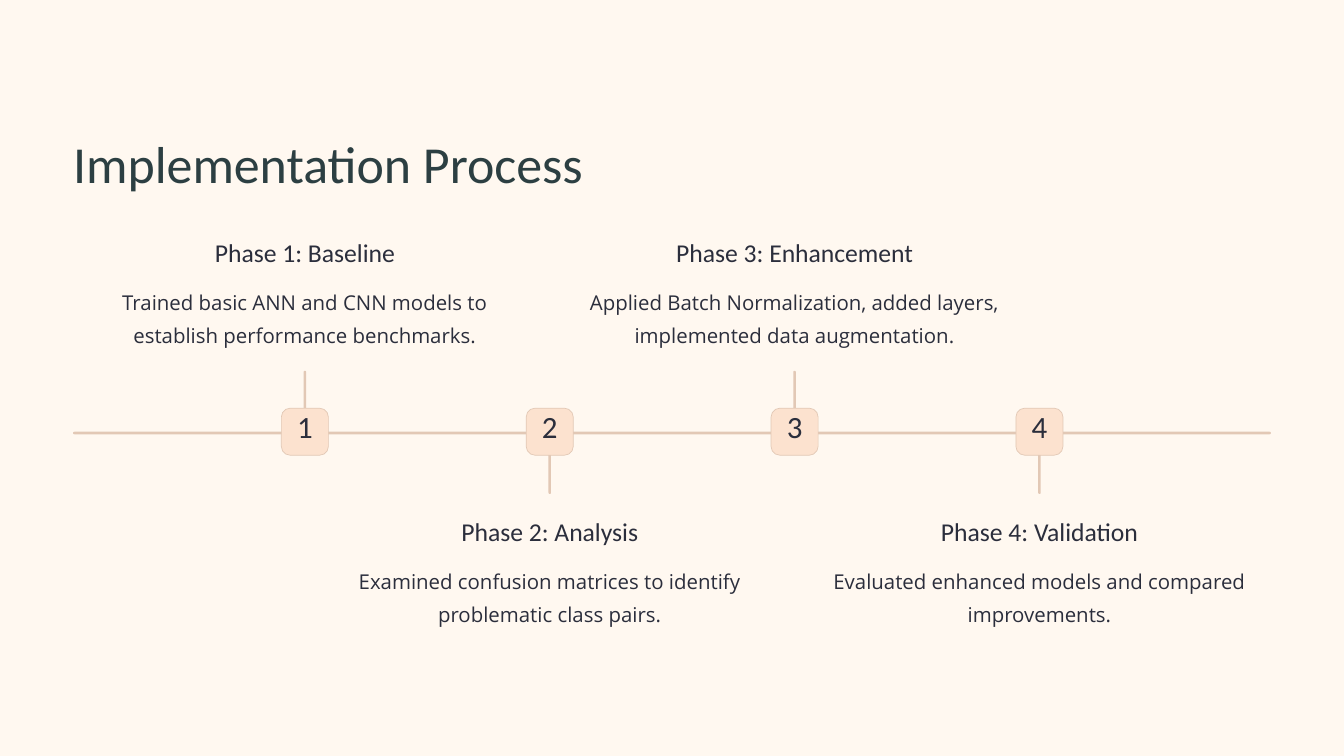
import pptx
import pptx.util
from pptx.dml.color import RGBColor
from pptx.enum.shapes import MSO_SHAPE
from pptx.enum.text import MSO_ANCHOR, PP_ALIGN

TITLE = "Implementation Process"
PHASES = [
    ("Phase 1: Baseline",
     "Trained basic ANN and CNN models to establish performance benchmarks."),
    ("Phase 2: Analysis",
     "Examined confusion matrices to identify problematic class pairs."),
    ("Phase 3: Enhancement",
     "Applied Batch Normalization, added layers, implemented data augmentation."),
    ("Phase 4: Validation",
     "Evaluated enhanced models and compared improvements."),
]

CREAM = RGBColor(0xFF, 0xF8, 0xF0)
PEACH = RGBColor(0xFC, 0xE2, 0xCF)
TAN = RGBColor(0xE2, 0xC8, 0xB5)
TEAL = RGBColor(0x2C, 0x3F, 0x42)
INK = RGBColor(0x2B, 0x2E, 0x3C)
HEADING_FONT, BODY_FONT = "Calibri", "Open Sans"

# Grid, in inches
WIDTH, HEIGHT = 16, 9
MARGIN = 0.87
FIRST_COLUMN, COLUMN_STEP = 3.63, 2.915
AXIS_TOP, BAR = 5.14, 0.03
STEM, BADGE, BADGE_TOP = 0.74, 0.56, 4.86
UPPER_ROW, LOWER_ROW = 2.81, 6.13
HEADING_WIDTH, HEADING_HEIGHT = 3.28, 0.39
BODY_WIDTH, BODY_HEIGHT, BODY_DROP = 5.02, 0.79, 0.535


def inches(*lengths):
    return [pptx.util.Inches(n) for n in lengths]


def write(shape, text, size, spacing, font=HEADING_FONT, color=INK,
          align=PP_ALIGN.CENTER, top_inset=0):
    tf = shape.text_frame
    tf.word_wrap = True
    tf.vertical_anchor = MSO_ANCHOR.TOP
    tf.margin_left = tf.margin_right = tf.margin_bottom = 0
    tf.margin_top = pptx.util.Inches(top_inset)
    p = tf.paragraphs[0]
    p.text = text
    p.alignment = align
    p.line_spacing = pptx.util.Pt(spacing)
    p.font.name = font
    p.font.size = pptx.util.Pt(size)
    p.font.color.rgb = color


def add_rounded(slide, box, fill, radius):
    """Add a borderless rounded rectangle; radius is a share of its short side."""
    sp = slide.shapes.add_shape(MSO_SHAPE.ROUNDED_RECTANGLE, *inches(*box))
    sp.adjustments[0] = radius
    sp.shadow.inherit = False
    sp.fill.solid()
    sp.fill.fore_color.rgb = fill
    sp.line.fill.background()
    return sp


def add_phase(slide, index, heading, body):
    """Add one phase: odd numbers stand above the axis, even ones hang below."""
    center = FIRST_COLUMN + index * COLUMN_STEP
    above = index % 2 == 0
    stem_top = AXIS_TOP + BAR / 2 - STEM if above else AXIS_TOP
    row = UPPER_ROW if above else LOWER_ROW

    add_rounded(slide, (center - BAR / 2, stem_top, BAR, STEM), TAN, 0.5)
    badge = add_rounded(
        slide, (center - BADGE / 2, BADGE_TOP, BADGE, BADGE), PEACH, 0.187)
    badge.line.color.rgb = TAN
    badge.line.width = pptx.util.Pt(0.6)
    write(badge, str(index + 1), 26.5, 26.5, top_inset=0.04)

    heading_box = slide.shapes.add_textbox(*inches(
        center - HEADING_WIDTH / 2, row, HEADING_WIDTH, HEADING_HEIGHT))
    write(heading_box, heading, 22, 27.5)
    body_box = slide.shapes.add_textbox(*inches(
        center - BODY_WIDTH / 2, row + BODY_DROP, BODY_WIDTH, BODY_HEIGHT))
    write(body_box, body, 17.5, 28.5, font=BODY_FONT)


def main():
    prs = pptx.Presentation()
    prs.slide_width, prs.slide_height = inches(WIDTH, HEIGHT)
    slide = prs.slides.add_slide(prs.slide_layouts[6])
    slide.background.fill.solid()
    slide.background.fill.fore_color.rgb = CREAM

    title = slide.shapes.add_textbox(*inches(MARGIN, 1.54, 7.12, 0.78))
    write(title, TITLE, 44.5, 55.5, color=TEAL, align=PP_ALIGN.LEFT)
    add_rounded(slide, (MARGIN, AXIS_TOP, WIDTH - 2 * MARGIN, BAR), TAN, 0.5)
    for index, (heading, body) in enumerate(PHASES):
        add_phase(slide, index, heading, body)
    prs.save("out.pptx")


if __name__ == "__main__":
    main()
